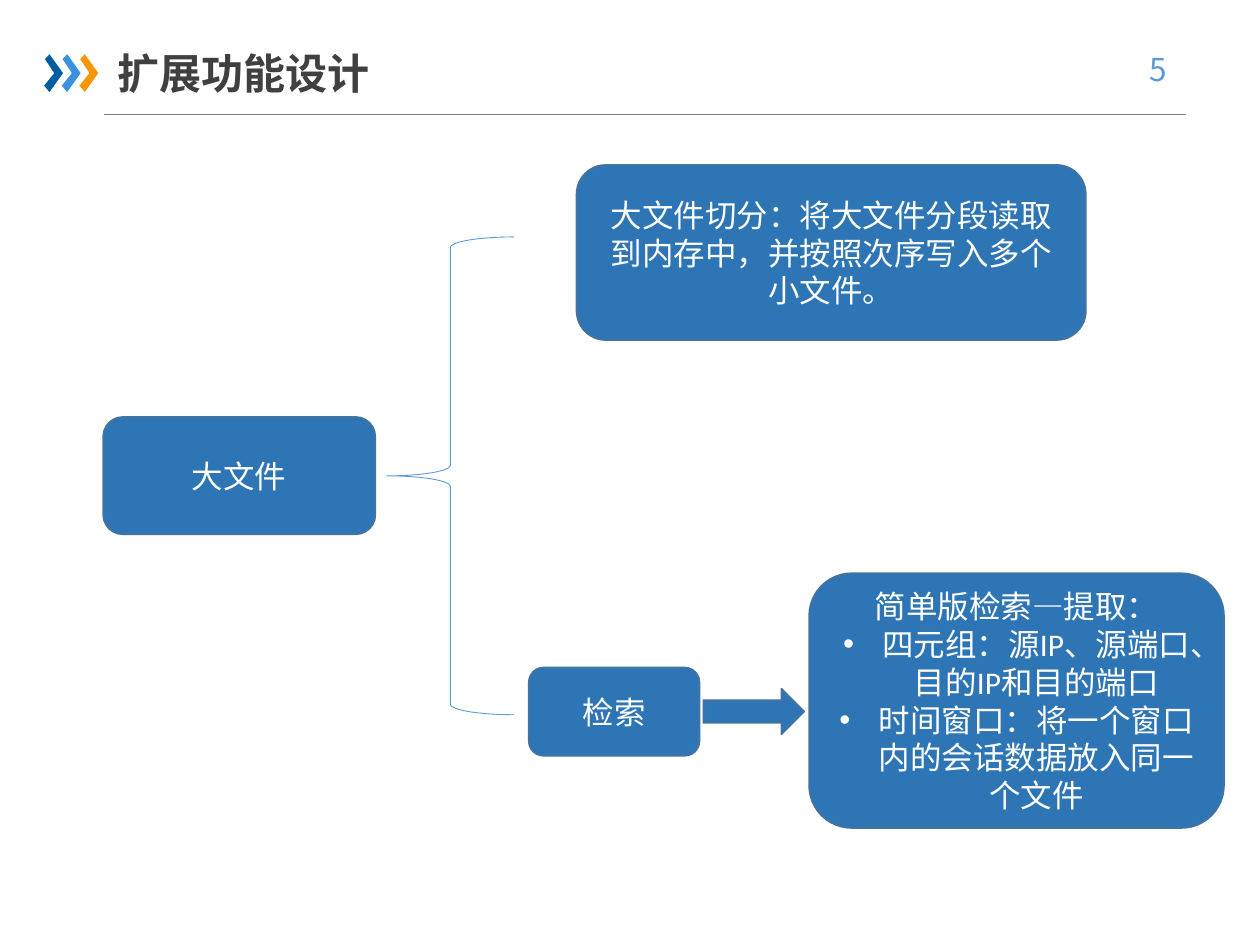
"""Build the slide on extended functions: splitting and searching large files."""
from dataclasses import dataclass
from typing import Any

from lxml.etree import SubElement
from pptx import Presentation
from pptx.dml.color import RGBColor
from pptx.enum.shapes import MSO_CONNECTOR as Line, MSO_SHAPE as Shape
from pptx.enum.text import MSO_ANCHOR as Anchor, PP_ALIGN as Align
from pptx.oxml.ns import qn
from pptx.util import Pt


@dataclass(frozen=True)
class Theme:
    heading_font: str = "Noto Sans CJK SC"
    body_font: str = "Calibri"
    title_size: float = 24
    body_size: float = 18
    title: str = "404040"
    accent: str = "5B9BD5"
    rule: str = "808080"
    box_fill: str = "2E75B6"
    box_line: str = "43739E"
    box_text: str = "FFFFFF"
    chevrons: tuple[str, ...] = ("005DA2", "3992DB", "F79600")
    thin: float = 0.5
    outline: float = 1
    bullet_indent: float = 22.5


@dataclass(frozen=True)
class Frame:
    left: float
    top: float
    width: float
    height: float

    def lengths(self) -> tuple[Pt, ...]:
        return tuple(Pt(v) for v in (self.left, self.top, self.width, self.height))


@dataclass(frozen=True)
class Block:
    shape: Shape
    frame: Frame
    text: str = ""
    bullets: tuple[str, ...] = ()


THEME = Theme()
BOX_FORMAT = {"name": THEME.body_font, "size": Pt(THEME.body_size)}
PAGE_FORMAT = {"name": THEME.heading_font, "size": Pt(THEME.body_size)}
TITLE_FORMAT = {"name": THEME.heading_font, "size": Pt(THEME.title_size), "bold": True}

CHEVRON = ((25.7, 33.8), (28.3, 31), (36, 41.8), (28.3, 52.6), (25.2, 49), (31, 41.8))
CHEVRON_STEP = 10.08

BLOCKS = (
    Block(Shape.ROUNDED_RECTANGLE, Frame(59, 238.3, 155.5, 67), "大文件"),
    Block(Shape.ROUNDED_RECTANGLE, Frame(329.5, 94.3, 291, 100),
          "大文件切分：将大文件分段读取到内存中，并按照次序写入多个小文件。"),
    Block(Shape.ROUNDED_RECTANGLE, Frame(302.2, 381.5, 97.5, 50.4), "检索"),
    Block(Shape.ROUNDED_RECTANGLE, Frame(462.4, 327.6, 237, 145.5), "简单版检索—提取：",
          ("四元组：源IP、源端口、目的IP和目的端口",
           "时间窗口：将一个窗口内的会话数据放入同一个文件")),
    Block(Shape.RIGHT_ARROW, Frame(402, 393.6, 57.6, 26)),
)


def color(value: str) -> RGBColor:
    return RGBColor.from_string(value)


def write(para: Any, text: str, formats: dict[str, Any], ink: str) -> None:
    span = para.add_run()
    span.text = text
    for name, value in formats.items():
        setattr(span.font, name, value)
    span.font.color.rgb = color(ink)
    SubElement(span.font._element, qn("a:ea"), typeface=THEME.heading_font)


def add_bullet(para: Any) -> None:
    properties = para._p.get_or_add_pPr()
    properties.set("marL", str(Pt(THEME.bullet_indent)))
    properties.set("indent", str(-Pt(THEME.bullet_indent)))
    SubElement(properties, qn("a:buFont"), typeface="Arial")
    SubElement(properties, qn("a:buChar"), char="•")


def add_label(page: Any, frame: Frame, text: str, formats: dict[str, Any],
              ink: str, align: Align, wrap: bool) -> None:
    box = page.shapes.add_textbox(*frame.lengths())
    box.text_frame.word_wrap = wrap
    para = box.text_frame.paragraphs[0]
    para.alignment = align
    write(para, text, formats, ink)


def add_block(page: Any, block: Block) -> None:
    box = page.shapes.add_shape(block.shape, *block.frame.lengths())
    box.shadow.inherit = False
    box.fill.solid()
    box.fill.fore_color.rgb = color(THEME.box_fill)
    box.line.color.rgb = color(THEME.box_line)
    box.line.width = Pt(THEME.outline)
    if not block.text:
        return
    body = box.text_frame
    body.word_wrap = True
    body.vertical_anchor = Anchor.MIDDLE
    para = body.paragraphs[0]
    para.alignment = Align.CENTER
    write(para, block.text, BOX_FORMAT, THEME.box_text)
    for text in block.bullets:
        para = body.add_paragraph()
        para.alignment = Align.CENTER
        add_bullet(para)
        write(para, text, BOX_FORMAT, THEME.box_text)


def add_brace(page: Any, frame: Frame) -> None:
    brace = page.shapes.add_shape(Shape.LEFT_BRACE, *frame.lengths())
    brace.shadow.inherit = False
    brace.fill.background()
    brace.line.color.rgb = color(THEME.accent)
    brace.line.width = Pt(THEME.thin)


def add_chevron(page: Any, offset: float, fill: str) -> None:
    start, *rest = [(Pt(x + offset), Pt(y)) for x, y in CHEVRON]
    builder = page.shapes.build_freeform(*start, scale=1.0)
    builder.add_line_segments(rest, close=True)
    chevron = builder.convert_to_shape()
    chevron.shadow.inherit = False
    chevron.fill.solid()
    chevron.fill.fore_color.rgb = color(fill)
    chevron.line.fill.background()


def add_header(page: Any) -> None:
    rule = page.shapes.add_connector(Line.STRAIGHT, Pt(59.5), Pt(65.3), Pt(677.7), Pt(65.3))
    rule.line.color.rgb = color(THEME.rule)
    rule.line.width = Pt(THEME.thin)
    SubElement(rule._element.spPr, qn("a:effectLst"))
    for index, fill in enumerate(THEME.chevrons):
        add_chevron(page, index * CHEVRON_STEP, fill)
    add_label(page, Frame(635.5, 25.2, 52.5, 29), "5", PAGE_FORMAT,
              THEME.accent, Align.CENTER, True)
    add_label(page, Frame(60, 23.8, 160, 36), "扩展功能设计", TITLE_FORMAT,
              THEME.title, Align.LEFT, False)


def main() -> None:
    deck = Presentation()
    deck.slide_width, deck.slide_height = Pt(720), Pt(540)
    page = deck.slides.add_slide(deck.slide_layouts[6])
    add_header(page)
    add_brace(page, Frame(221, 135.4, 72.7, 273))
    for block in BLOCKS:
        add_block(page, block)
    deck.save("out.pptx")


if __name__ == "__main__":
    main()
